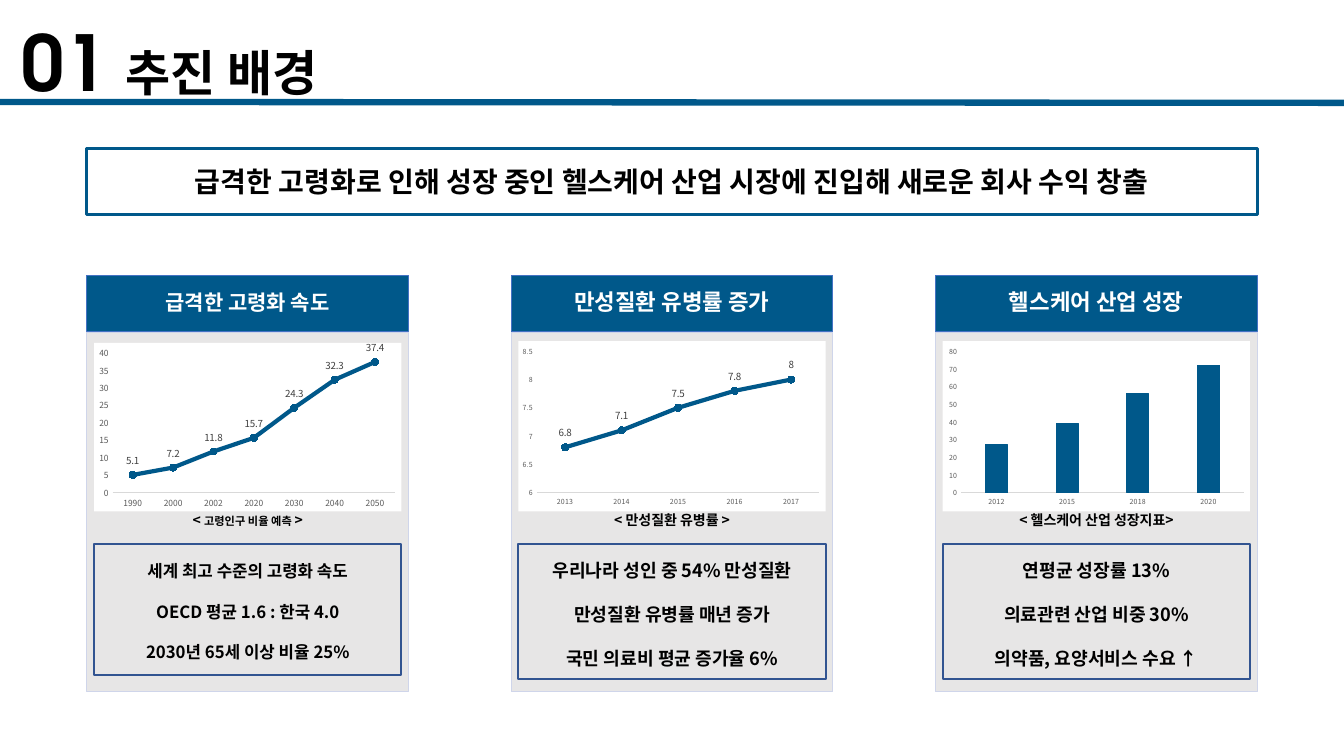
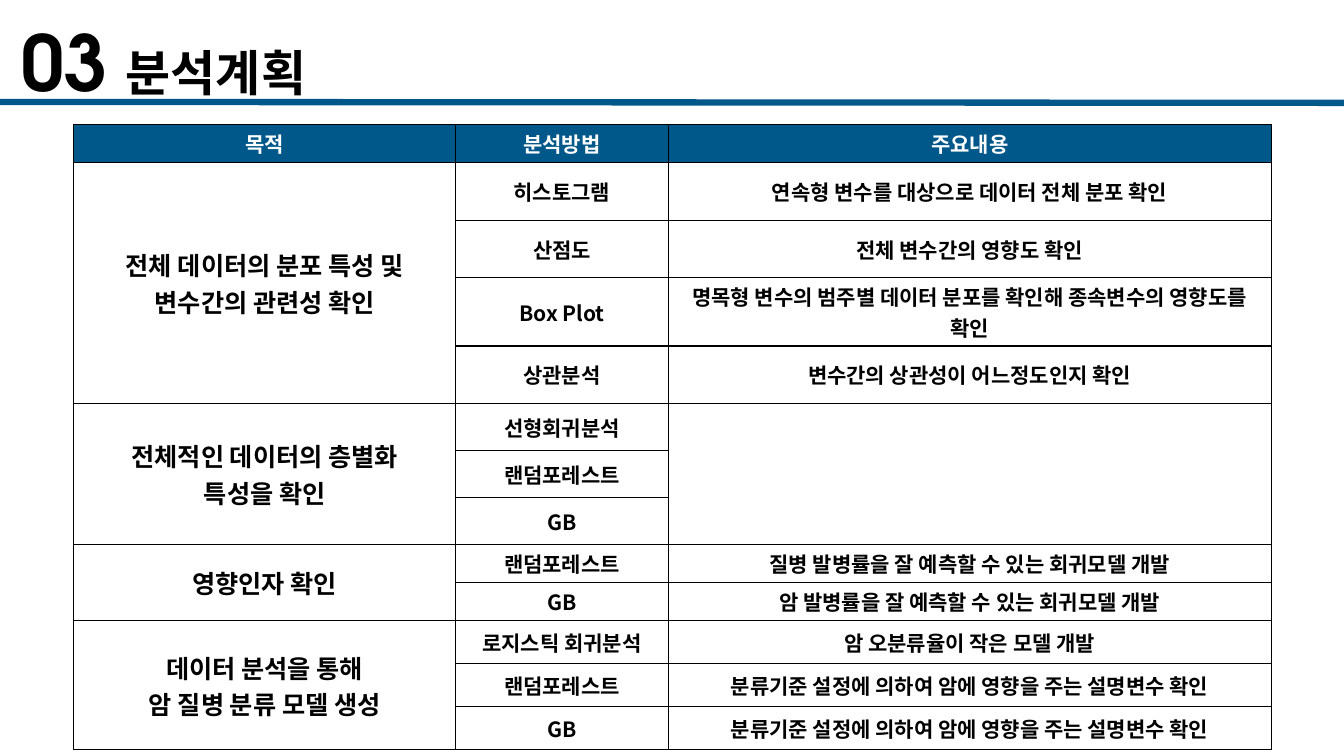
"""Build the background and analysis-plan slides of a healthcare proposal."""
from dataclasses import dataclass

from pptx import Presentation
from pptx.chart.chart import Chart
from pptx.chart.data import CategoryChartData
from pptx.dml.color import RGBColor
from pptx.enum.chart import XL_CHART_TYPE, XL_LABEL_POSITION, XL_MARKER_STYLE, XL_TICK_MARK
from pptx.enum.shapes import MSO_CONNECTOR, MSO_SHAPE
from pptx.enum.text import MSO_ANCHOR, MSO_AUTO_SIZE, PP_ALIGN
from pptx.oxml import parse_xml
from pptx.oxml.ns import nsdecls, qn
from pptx.shapes.autoshape import Shape
from pptx.slide import Slide
from pptx.table import _Cell
from pptx.text.text import Font, TextFrame, _Paragraph
from pptx.util import Pt

COLORS = {
    "accent": "00588A", "header_edge": "4472C4", "panel": "E7E6E6",
    "panel_edge": "CFD5EA", "box_edge": "325491", "axis": "D9D9D9",
    "tick": "595959", "label": "404040", "black": "000000", "white": "FFFFFF",
}
SANS = "Noto Sans CJK KR"
DISPLAY = "TeX Gyre Adventor"
CENTER, LEFT, MIDDLE = PP_ALIGN.CENTER, PP_ALIGN.LEFT, MSO_ANCHOR.MIDDLE
RECT = MSO_SHAPE.RECTANGLE
LINE, COLUMN = XL_CHART_TYPE.LINE_MARKERS, XL_CHART_TYPE.COLUMN_CLUSTERED
NO_TICK = XL_TICK_MARK.NONE

PANEL_LEFT, PANEL_STEP, PANEL_WIDTH = 62, 303.1, 229.7
HEADER_TOP, HEADER_HEIGHT = 196.5, 40.5
BODY_TOP, BODY_HEIGHT = 237.5, 256.5
INSET, INNER_WIDTH = 5.2, 219.5


@dataclass(frozen=True)
class Box:
    left: float
    top: float
    width: float
    height: float

    def lengths(self) -> tuple:
        return Pt(self.left), Pt(self.top), Pt(self.width), Pt(self.height)


@dataclass(frozen=True)
class Panel:
    heading: str
    heading_size: float
    kind: int
    years: tuple
    values: tuple
    scale: tuple
    tick_size: float
    caption: tuple
    findings: tuple
    findings_size: float
    findings_height: float


@dataclass(frozen=True)
class Purpose:
    goal: str
    row_height: float
    methods: tuple


PANELS = (
    Panel("급격한 고령화 속도", 15, LINE,
          ("1990", "2000", "2002", "2020", "2030", "2040", "2050"),
          (5.1, 7.2, 11.8, 15.7, 24.3, 32.3, 37.4), (0, 40, 5), 6,
          (("< ", 10), ("고령인구 비율 예측 ", 8), (">", 10)),
          ("세계 최고 수준의 고령화 속도", "OECD 평균 1.6 : 한국 4.0",
           "2030년 65세 이상 비율 25%"), 12, 94),
    Panel("만성질환 유병률 증가", 16, LINE,
          ("2013", "2014", "2015", "2016", "2017"),
          (6.8, 7.1, 7.5, 7.8, 8), (6, 8.5, 0.5), 5,
          (("< 만성질환 유병률 >", 10),),
          ("우리나라 성인 중 54% 만성질환", "만성질환 유병률 매년 증가",
           "국민 의료비 평균 증가율 6%"), 13, 97),
    Panel("헬스케어 산업 성장", 16, COLUMN,
          ("2012", "2015", "2018", "2020"), (27, 39, 56, 72), (0, 80, 10), 5,
          (("< 헬스케어 산업 성장지표>", 10),),
          ("연평균 성장률 13%", "의료관련 산업 비중 30%",
           "의약품, 요양서비스 수요 ↑"), 13, 97),
)
HEADINGS = ("목적", "분석방법", "주요내용")
COLUMN_WIDTHS = (272.9, 151.9, 430.6)
PURPOSES = (
    Purpose("전체 데이터의 분포 특성 및 변수간의 관련성 확인", 41.2, (
        ("히스토그램", "연속형 변수를 대상으로 데이터 전체 분포 확인"),
        ("산점도", "전체 변수간의 영향도 확인"),
        ("Box Plot", "명목형 변수의 범주별 데이터 분포를 확인해 종속변수의 영향도를 확인"),
        ("상관분석", "변수간의 상관성이 어느정도인지 확인"))),
    Purpose("전체적인 데이터의 층별화\n특성을 확인", 33.6, (
        ("선형회귀분석", ""), ("랜덤포레스트", ""), ("GB", ""))),
    Purpose("영향인자 확인", 27.2, (
        ("랜덤포레스트", "질병 발병률을 잘 예측할 수 있는 회귀모델 개발"),
        ("GB", "암 발병률을 잘 예측할 수 있는 회귀모델 개발"))),
    Purpose("데이터 분석을 통해\n암 질병 분류 모델 생성", 30.7, (
        ("로지스틱 회귀분석", "암 오분류율이 작은 모델 개발"),
        ("랜덤포레스트", "분류기준 설정에 의하여 암에 영향을 주는 설명변수 확인"),
        ("GB", "분류기준 설정에 의하여 암에 영향을 주는 설명변수 확인"))),
)


def rgb(color: str) -> RGBColor:
    return RGBColor.from_string(COLORS[color])


def style_font(font: Font, size: float, color: str, face: str = SANS) -> None:
    font.name, font.size = face, Pt(size)
    font.color.rgb = rgb(color)


def add_run(paragraph: _Paragraph, text: str, size: float,
            color: str = "black", face: str = SANS) -> None:
    run = paragraph.add_run()
    run.text = text
    style_font(run.font, size, color, face)
    run.font.bold = True
    run.font._element.append(
        parse_xml(f'<a:ea {nsdecls("a")} typeface="{SANS}"/>'))


def write_lines(frame: TextFrame, lines: tuple, size: float,
                color: str = "black", face: str = SANS, spacing: float = 1) -> None:
    for index, line in enumerate(lines):
        paragraph = frame.add_paragraph() if index else frame.paragraphs[0]
        paragraph.alignment = CENTER
        paragraph.line_spacing = spacing
        add_run(paragraph, line, size, color, face)


def set_frame(frame: TextFrame, side: float, top: float, bottom: float,
              wrap: bool = True) -> None:
    frame.auto_size = MSO_AUTO_SIZE.NONE
    frame.word_wrap = wrap
    frame.vertical_anchor = MIDDLE
    frame.margin_left = frame.margin_right = Pt(side)
    frame.margin_top, frame.margin_bottom = Pt(top), Pt(bottom)


def add_rect(slide: Slide, box: Box, fill: str, edge: str, weight: float) -> Shape:
    rect = slide.shapes.add_shape(RECT, *box.lengths())
    rect.shadow.inherit = False
    if fill:
        rect.fill.solid()
        rect.fill.fore_color.rgb = rgb(fill)
    else:
        rect.fill.background()
    rect.line.color.rgb = rgb(edge)
    rect.line.width = Pt(weight)
    return rect


def add_titled_slide(deck: Presentation, number: str, heading: str) -> Slide:
    slide = deck.slides.add_slide(deck.slide_layouts[5])
    title = slide.shapes.title
    title.left, title.top, title.width, title.height = Box(5.8, 14.4, 912, 58.3).lengths()
    set_frame(title.text_frame, 9.4, 5, 5)
    paragraph = title.text_frame.paragraphs[0]
    paragraph.alignment = LEFT
    for text, size in ((number, 55), (" ", 46.7), (heading, 35)):
        add_run(paragraph, text, size, face=DISPLAY)
    rule = slide.shapes.add_connector(
        MSO_CONNECTOR.STRAIGHT, Pt(0), Pt(72.8), Pt(960), Pt(73.5))
    rule.line.color.rgb = rgb("accent")
    rule.line.width = Pt(4.5)
    rule._element.spPr.append(parse_xml(f'<a:effectLst {nsdecls("a")}/>'))
    return slide


def set_chart_area(chart: Chart) -> None:
    root = chart.element.find(qn("c:chart"))
    root.addnext(parse_xml(
        f'<c:spPr {nsdecls("c", "a")}><a:solidFill><a:srgbClr val="{COLORS["white"]}"/>'
        '</a:solidFill><a:ln><a:noFill/></a:ln></c:spPr>'))
    plot_area = root.find(qn("c:plotArea"))
    for layout in plot_area.findall(qn("c:layout")):
        plot_area.remove(layout)
    places = "".join(f'<c:{key} val="{value}"/>' for key, value in (
        ("layoutTarget", "inner"), ("xMode", "edge"), ("yMode", "edge"),
        ("x", 0.06), ("y", 0.06), ("w", 0.92), ("h", 0.83)))
    plot_area.insert(0, parse_xml(
        f'<c:layout {nsdecls("c")}><c:manualLayout>{places}</c:manualLayout></c:layout>'))


def add_trend_chart(slide: Slide, panel: Panel, box: Box) -> None:
    data = CategoryChartData()
    data.categories = panel.years
    data.add_series("Series 1", panel.values)
    chart = slide.shapes.add_chart(panel.kind, *box.lengths(), data).chart
    chart.has_legend = chart.has_title = False
    style_font(chart.font, 10, "black")
    set_chart_area(chart)
    for axis in (chart.category_axis, chart.value_axis):
        axis.has_major_gridlines = False
        axis.major_tick_mark = axis.minor_tick_mark = NO_TICK
        style_font(axis.tick_labels.font, panel.tick_size, "tick")
    chart.category_axis.format.line.color.rgb = rgb("axis")
    chart.category_axis.format.line.width = Pt(0.75)
    values = chart.value_axis
    values.format.line.fill.background()
    values.minimum_scale, values.maximum_scale, values.major_unit = panel.scale
    plot = chart.plots[0]
    plot.vary_by_categories = False
    series = plot.series[0]
    series.format.line.color.rgb = rgb("accent")
    if panel.kind == COLUMN:
        plot.gap_width, plot.overlap = 219, -27
        series.format.fill.solid()
        series.format.fill.fore_color.rgb = rgb("accent")
        series.format.line.width = Pt(0.75)
        return
    series.smooth = False
    series.format.line.width = Pt(3)
    series.marker.style, series.marker.size = XL_MARKER_STYLE.CIRCLE, 5
    series.marker.format.fill.solid()
    series.marker.format.fill.fore_color.rgb = rgb("accent")
    series.marker.format.line.color.rgb = rgb("accent")
    labels = series.data_labels
    labels.show_value = True
    labels.position = XL_LABEL_POSITION.ABOVE
    style_font(labels.font, 7, "label")


def add_panel(slide: Slide, panel: Panel, left: float) -> None:
    inner = left + INSET
    add_rect(slide, Box(left, BODY_TOP, PANEL_WIDTH, BODY_HEIGHT),
             "panel", "panel_edge", 0.5)
    header = add_rect(slide, Box(left, HEADER_TOP, PANEL_WIDTH, HEADER_HEIGHT),
                      "accent", "header_edge", 0.5)
    set_frame(header.text_frame, 14.4, 8.6, 8.6)
    write_lines(header.text_frame, (panel.heading,), panel.heading_size, "white", spacing=0.9)
    add_trend_chart(slide, panel, Box(inner, 243.6, INNER_WIDTH, 121.7))
    caption = slide.shapes.add_textbox(*Box(inner, 363, INNER_WIDTH, 17.3).lengths())
    set_frame(caption.text_frame, 7.2, 3.6, 3.6)
    paragraph = caption.text_frame.paragraphs[0]
    paragraph.alignment = CENTER
    for text, size in panel.caption:
        add_run(paragraph, text, size)
    findings = add_rect(slide, Box(inner, 388.3, INNER_WIDTH, panel.findings_height),
                        "", "box_edge", 1.5)
    set_frame(findings.text_frame, 7.2, 0, 11.5, wrap=False)
    write_lines(findings.text_frame, panel.findings, panel.findings_size, spacing=2)


def fill_cell(cell: _Cell, text: str, size: float = 15,
              fill: str = "white", color: str = "black") -> None:
    properties = cell._tc.get_or_add_tcPr()
    for side in ("lnL", "lnR", "lnT", "lnB"):
        properties.append(parse_xml(
            f'<a:{side} {nsdecls("a")} w="{Pt(1)}"><a:solidFill>'
            f'<a:srgbClr val="{COLORS["black"]}"/></a:solidFill></a:{side}>'))
    cell.fill.solid()
    cell.fill.fore_color.rgb = rgb(fill)
    cell.vertical_anchor = MIDDLE
    cell.margin_left = cell.margin_right = Pt(5.2)
    cell.margin_top = cell.margin_bottom = Pt(2.6)
    if text:
        write_lines(cell.text_frame, tuple(text.split("\n")), size, color)


def add_plan_table(slide: Slide) -> None:
    heights = [24.5] + [p.row_height for p in PURPOSES for _ in p.methods]
    box = Box(52.6, 89.2, sum(COLUMN_WIDTHS), sum(heights))
    table = slide.shapes.add_table(len(heights), len(HEADINGS), *box.lengths()).table
    table.first_row = table.horz_banding = False
    for column, width in zip(table.columns, COLUMN_WIDTHS):
        column.width = Pt(width)
    for row, height in zip(table.rows, heights):
        row.height = Pt(height)
    for index, heading in enumerate(HEADINGS):
        fill_cell(table.cell(0, index), heading, fill="accent", color="white")
    top = 1
    for purpose in PURPOSES:
        bottom = top + len(purpose.methods) - 1
        for row, (method, content) in enumerate(purpose.methods, top):
            fill_cell(table.cell(row, 0), purpose.goal if row == top else "", 18)
            fill_cell(table.cell(row, 1), method)
            fill_cell(table.cell(row, 2), content)
        table.cell(top, 0).merge(table.cell(bottom, 0))
        if not any(content for _, content in purpose.methods):
            table.cell(top, 2).merge(table.cell(bottom, 2))
        top = bottom + 1


def main() -> None:
    deck = Presentation()
    deck.slide_width, deck.slide_height = Pt(960), Pt(540)
    background = add_titled_slide(deck, "01", "추진 배경")
    message = add_rect(background, Box(62, 105.8, 836, 47.6), "", "accent", 2.25)
    set_frame(message.text_frame, 9.4, 5, 5)
    write_lines(message.text_frame,
                ("급격한 고령화로 인해 성장 중인 헬스케어 산업 시장에 진입해 새로운 회사 수익 창출",),
                20, face=DISPLAY)
    for index, panel in enumerate(PANELS):
        add_panel(background, panel, PANEL_LEFT + index * PANEL_STEP)
    add_plan_table(add_titled_slide(deck, "03", "분석계획"))
    deck.save("out.pptx")


if __name__ == "__main__":
    main()
